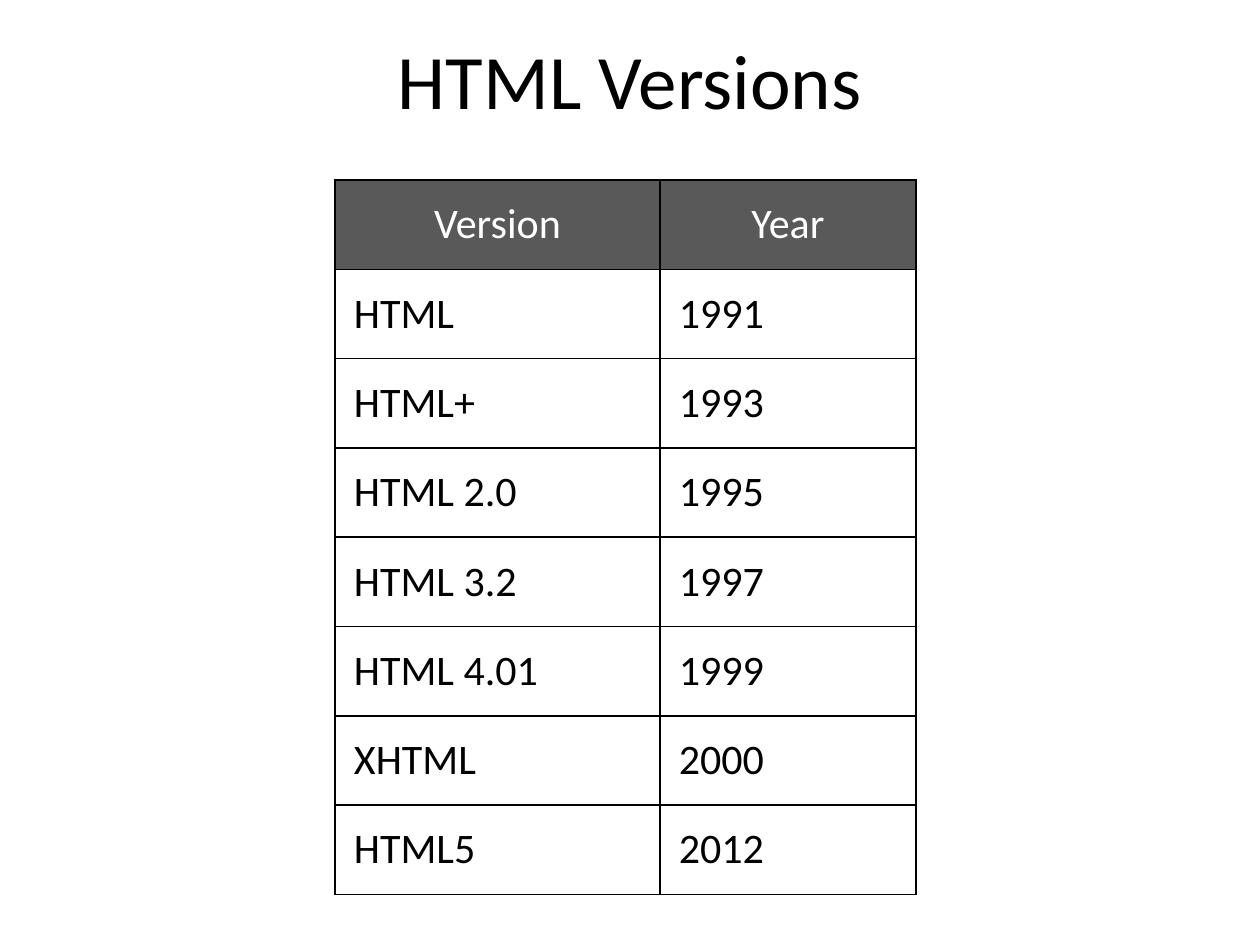
from typing import NamedTuple

from lxml.etree import SubElement
from pptx import Presentation
from pptx.dml.color import RGBColor
from pptx.enum.text import MSO_ANCHOR, PP_ALIGN
from pptx.oxml.ns import qn
from pptx.util import Emu, Pt

PX_PER_INCH = 126
FONT = "Calibri"
COLORS = {"text": "000000", "border": "000000", "header": "595959", "header_text": "FFFFFF"}
COL_WIDTHS = (325, 256)
ROW_HEIGHT = 89
CELL_MARGIN = 19


class Version(NamedTuple):
    name: str
    year: str


HEADER = Version("Version", "Year")
VERSIONS = [
    Version("HTML", "1991"),
    Version("HTML+", "1993"),
    Version("HTML 2.0", "1995"),
    Version("HTML 3.2", "1997"),
    Version("HTML 4.01", "1999"),
    Version("XHTML", "2000"),
    Version("HTML5", "2012"),
]


def px(n: int) -> Emu:
    return Emu(round(n * 914400 / PX_PER_INCH))


def style_paragraph(p, size: int, color: str, align: PP_ALIGN) -> None:
    p.alignment = align
    p.font.name = FONT
    p.font.size = Pt(size)
    p.font.color.rgb = RGBColor.from_string(COLORS[color])


def add_borders(cell) -> None:
    """Draw 1 pt lines on all four sides; call before setting the cell's fill."""
    tc_pr = cell._tc.get_or_add_tcPr()
    for side in ("a:lnL", "a:lnR", "a:lnT", "a:lnB"):
        ln = SubElement(tc_pr, qn(side), w=str(Pt(1)))
        fill = SubElement(ln, qn("a:solidFill"))
        SubElement(fill, qn("a:srgbClr"), val=COLORS["border"])


def fill_cell(cell, text: str, is_header: bool) -> None:
    add_borders(cell)
    cell.margin_left = cell.margin_right = px(CELL_MARGIN)
    cell.margin_top = cell.margin_bottom = px(CELL_MARGIN)
    cell.vertical_anchor = MSO_ANCHOR.MIDDLE
    cell.text = text
    p = cell.text_frame.paragraphs[0]
    if is_header:
        cell.fill.solid()
        cell.fill.fore_color.rgb = RGBColor.from_string(COLORS["header"])
        style_paragraph(p, 24, "header_text", PP_ALIGN.CENTER)
    else:
        cell.fill.background()
        style_paragraph(p, 24, "text", PP_ALIGN.LEFT)


def add_title(s, text: str) -> None:
    title = s.shapes.title
    title.left, title.top, title.width, title.height = px(63), px(0), px(1134), px(158)
    tf = title.text_frame
    tf.text = text
    tf.vertical_anchor = MSO_ANCHOR.MIDDLE
    style_paragraph(tf.paragraphs[0], 44, "text", PP_ALIGN.CENTER)


def add_version_table(s, left: int, top: int) -> None:
    rows = [HEADER, *VERSIONS]
    table = s.shapes.add_table(
        len(rows), len(COL_WIDTHS), px(left), px(top),
        px(sum(COL_WIDTHS)), px(ROW_HEIGHT * len(rows)),
    ).table
    table.horz_banding = False
    table.first_row = False
    for column, width in zip(table.columns, COL_WIDTHS):
        column.width = px(width)
    for i, version in enumerate(rows):
        table.rows[i].height = px(ROW_HEIGHT)
        for j, text in enumerate(version):
            fill_cell(table.cell(i, j), text, is_header=i == 0)


def main() -> None:
    prs = Presentation()
    prs.slide_width, prs.slide_height = px(1260), px(945)
    s = prs.slides.add_slide(prs.slide_layouts[5])
    add_title(s, "HTML Versions")
    add_version_table(s, left=335, top=180)
    prs.save("out.pptx")


if __name__ == "__main__":
    main()
